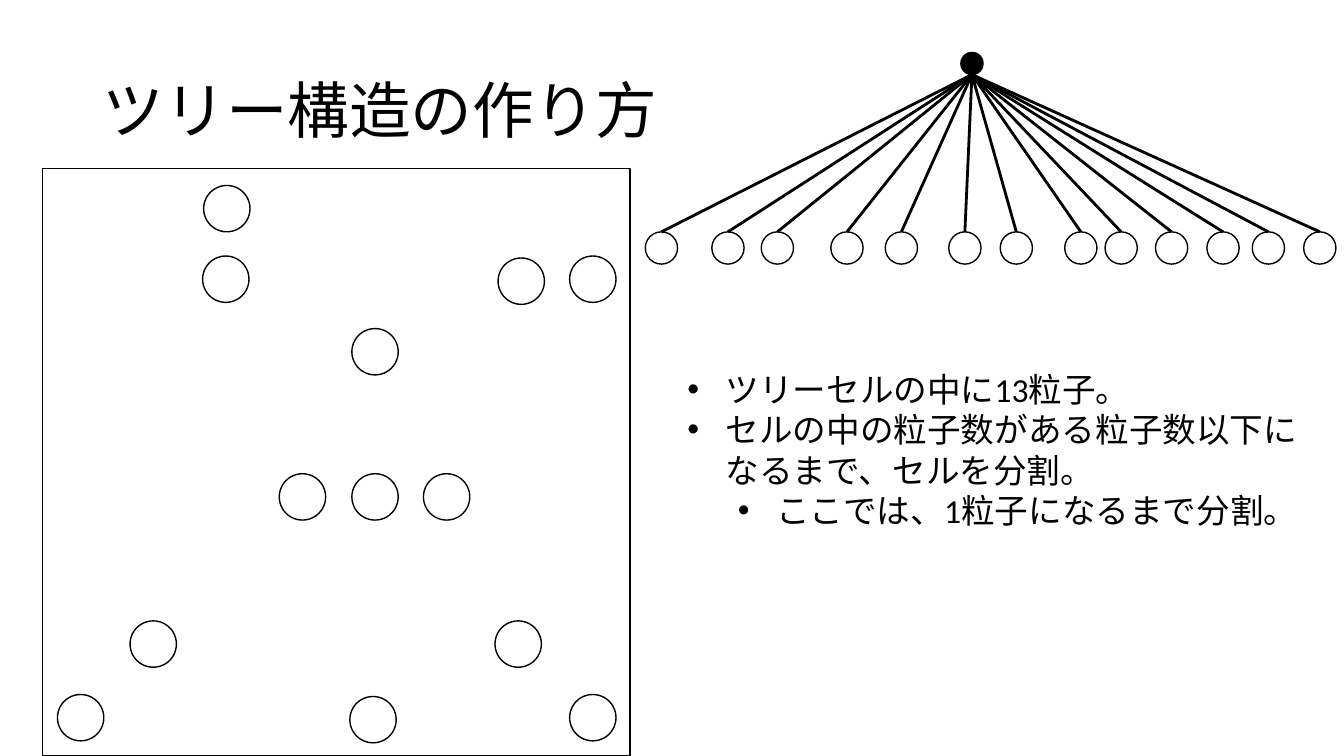
from lxml import etree
from pptx import Presentation
from pptx.dml.color import RGBColor
from pptx.enum.shapes import MSO_CONNECTOR, MSO_SHAPE
from pptx.enum.text import MSO_ANCHOR, MSO_AUTO_SIZE, PP_ALIGN
from pptx.oxml.ns import qn
from pptx.util import Inches, Pt

BLACK = "000000"
PARTICLES = [
    (1.83, 0.4), (1.82, 1.1), (4.75, 1.12), (5.46, 1.1), (3.3, 1.82),
    (2.58, 3.26), (3.3, 3.26), (4.01, 3.26), (1.1, 4.72), (4.72, 4.72),
    (0.38, 5.45), (3.28, 5.47), (5.46, 5.45),
]
LEAF_OFFSETS = [0, 0.66, 1.15, 1.84, 2.38, 3.01, 3.52,
                4.16, 4.56, 5.06, 5.57, 6.02, 6.53]
ROOT_OFFSET = 3.13
NOTES = [
    ("ツリーセルの中に13粒子。", 0),
    ("セルの中の粒子数がある粒子数以下になるまで、セルを分割。", 0),
    ("ここでは、1粒子になるまで分割。", 1),
]


def color(value):
    return RGBColor.from_string(value)


def style_font(font, size):
    font.name = "Calibri"
    font.size = Pt(size)
    font.color.rgb = color(BLACK)


def outline(slide, kind, left, top, width, height, fill=None):
    shape = slide.shapes.add_shape(
        kind, Inches(left), Inches(top), Inches(width), Inches(height))
    shape.shadow.inherit = False
    if fill:
        shape.fill.solid()
        shape.fill.fore_color.rgb = color(fill)
    else:
        shape.fill.background()
    shape.line.color.rgb = color(BLACK)
    shape.line.width = Pt(1)
    return shape


def circle(slide, left, top, diameter, fill=None):
    return outline(slide, MSO_SHAPE.OVAL, left, top, diameter, diameter, fill)


def branch(slide, parent, child):
    line = slide.shapes.add_connector(
        MSO_CONNECTOR.STRAIGHT,
        parent.left + parent.width // 2, parent.top + parent.height,
        child.left + child.width // 2, child.top)
    line.end_connect(child, 0)
    line.line.color.rgb = color(BLACK)
    line.line.width = Pt(2)
    etree.SubElement(line._element.spPr, qn("a:effectLst"))


def add_title(slide, left, top, width, height):
    title = slide.shapes.title
    title.left, title.top = Inches(left), Inches(top)
    title.width, title.height = Inches(width), Inches(height)
    frame = title.text_frame
    frame.text = "ツリー構造の作り方"
    frame.vertical_anchor = MSO_ANCHOR.MIDDLE
    paragraph = frame.paragraphs[0]
    paragraph.alignment = PP_ALIGN.LEFT
    paragraph.line_spacing = 0.9
    style_font(paragraph.runs[0].font, 44)


def add_cell(slide, left, top, side, diameter=0.46):
    outline(slide, MSO_SHAPE.RECTANGLE, left, top, side, side)
    for x, y in PARTICLES:
        circle(slide, left + x - diameter / 2, top + y - diameter / 2, diameter)


def add_tree(slide, left, top, height, leaf_size=0.32, root_size=0.22):
    root = circle(slide, left + ROOT_OFFSET, top, root_size, BLACK)
    for offset in LEAF_OFFSETS:
        leaf = circle(slide, left + offset, top + height - leaf_size, leaf_size)
        branch(slide, root, leaf)


def add_notes_list(slide, left, top, width, height):
    box = slide.shapes.add_textbox(
        Inches(left), Inches(top), Inches(width), Inches(height))
    frame = box.text_frame
    frame.word_wrap = True
    frame.auto_size = MSO_AUTO_SIZE.SHAPE_TO_FIT_TEXT
    for index, (text, level) in enumerate(NOTES):
        paragraph = frame.add_paragraph() if index else frame.paragraphs[0]
        paragraph.level = level
        run = paragraph.add_run()
        run.text = text
        style_font(run.font, 24)
        properties = paragraph._p.get_or_add_pPr()
        properties.set("marL", str(Inches(0.38 + 0.5 * level)))
        properties.set("indent", str(Inches(-0.38)))
        etree.SubElement(properties, qn("a:buFont")).set("typeface", "Arial")
        etree.SubElement(properties, qn("a:buChar")).set("char", "•")


def build_slide(presentation):
    slide = presentation.slides.add_slide(presentation.slide_layouts[5])
    add_title(slide, 0.92, 0.4, 11.5, 1.45)
    add_cell(slide, 0.42, 1.67, 5.83)
    add_tree(slide, 6.4, 0.52, 2.1)
    add_notes_list(slide, 6.72, 3.61, 6.53, 1.72)


presentation = Presentation()
presentation.slide_width = Inches(13.33)
presentation.slide_height = Inches(7.5)
build_slide(presentation)
presentation.save("out.pptx")
